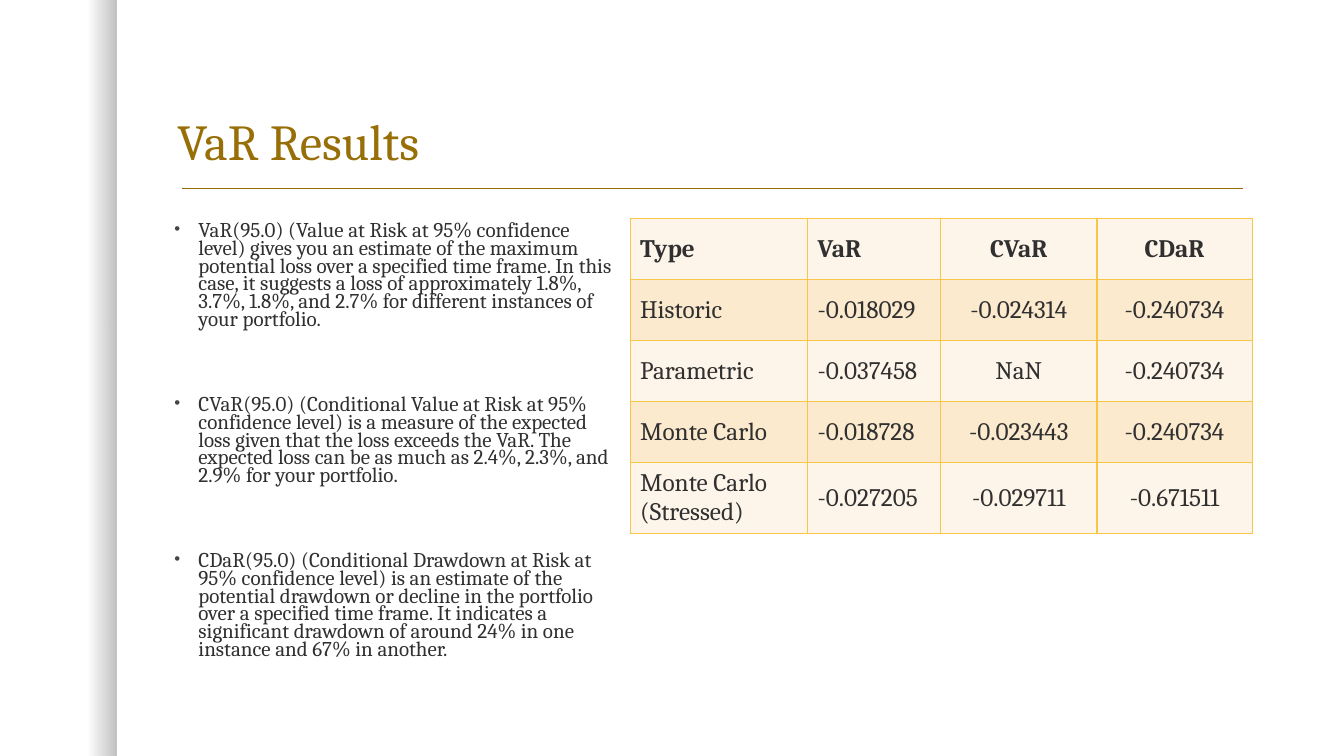
from lxml import etree
from pptx import Presentation
from pptx.dml.color import RGBColor
from pptx.enum.shapes import MSO_CONNECTOR, MSO_SHAPE
from pptx.enum.text import MSO_ANCHOR, PP_ALIGN
from pptx.oxml.ns import qn
from pptx.util import Inches, Pt

LINE = MSO_CONNECTOR.STRAIGHT
RECT = MSO_SHAPE.RECTANGLE
BOTTOM, MIDDLE = MSO_ANCHOR.BOTTOM, MSO_ANCHOR.MIDDLE
LEFT, CENTER = PP_ALIGN.LEFT, PP_ALIGN.CENTER

FONT = "Cambria"
GOLD, INK, GREY, EDGE = "986F07", "303030", "454545", "F7C547"
BANDS = ["FDF5E9", "FCEACF"]

NOTES = [
    "VaR(95.0) (Value at Risk at 95% confidence level) gives you an estimate of "
    "the maximum potential loss over a specified time frame. In this case, it "
    "suggests a loss of approximately 1.8%, 3.7%, 1.8%, and 2.7% for different "
    "instances of your portfolio.",
    "CVaR(95.0) (Conditional Value at Risk at 95% confidence level) is a measure "
    "of the expected loss given that the loss exceeds the VaR. The expected loss "
    "can be as much as 2.4%, 2.3%, and 2.9% for your portfolio.",
    "CDaR(95.0) (Conditional Drawdown at Risk at 95% confidence level) is an "
    "estimate of the potential drawdown or decline in the portfolio over a "
    "specified time frame. It indicates a significant drawdown of around 24% in "
    "one instance and 67% in another.",
]

ROWS = [
    ["Type", "VaR", "CVaR", "CDaR"],
    ["Historic", "-0.018029", "-0.024314", "-0.240734"],
    ["Parametric", "-0.037458", "NaN", "-0.240734"],
    ["Monte Carlo", "-0.018728", "-0.023443", "-0.240734"],
    ["Monte Carlo\v(Stressed)", "-0.027205", "-0.029711", "-0.671511"],
]
WIDTHS = [1.76, 1.32, 1.55, 1.54]
HEIGHTS = [0.605] * 4 + [0.69]
ALIGNS = [LEFT, LEFT, CENTER, CENTER]


def rgb(code):
    return RGBColor.from_string(code)


def node(parent, tag, **attrs):
    return etree.SubElement(parent, qn(tag), attrs)


def style(para, size, color, bold=False):
    for run in para.runs:
        font = run.font
        font.name, font.size, font.bold = FONT, Pt(size), bold
        font.color.rgb = rgb(color)


def add_shade(slide):
    """Left strip that fades from clear to a soft black edge."""
    strip = slide.shapes.add_shape(RECT, 0, 0, Inches(1.16), Inches(7.5))
    strip.shadow.inherit = False
    strip.line.fill.background()
    strip.fill.gradient()
    strip.fill.gradient_angle = 0
    stops = strip.fill.gradient_stops
    for stop, place, alpha in zip(stops, [0.75, 1], [0, 25000]):
        stop.position = place
        stop.color.rgb = rgb("000000")
    for tint, alpha in zip(strip.fill._xPr.iter(qn("a:srgbClr")), [0, 25000]):
        node(tint, "a:alpha", val=str(alpha))


def add_rule(slide):
    rule = slide.shapes.add_connector(
        LINE, Inches(1.81), Inches(1.87), Inches(12.33), Inches(1.87))
    rule.line.color.rgb = rgb(GOLD)
    rule.line.width = Pt(1)
    node(rule._element.spPr, "a:effectLst")


def add_box(slide, left, top, width, height):
    box = slide.shapes.add_textbox(
        Inches(left), Inches(top), Inches(width), Inches(height))
    box.text_frame.word_wrap = True
    return box.text_frame


def add_title(slide, text):
    frame = add_box(slide, 1.66, 0.42, 10.75, 1.33)
    frame.vertical_anchor = BOTTOM
    frame.text = text
    para = frame.paragraphs[0]
    para.line_spacing = 0.9
    style(para, 36, GOLD)


def add_bullet(para):
    props = para._p.get_or_add_pPr()
    props.set("marL", str(Inches(0.24)))
    props.set("indent", str(-Inches(0.24)))
    node(node(props, "a:buClr"), "a:srgbClr", val=GREY)
    node(props, "a:buSzPct", val="80000")
    node(props, "a:buFont", typeface="Arial")
    node(props, "a:buChar", char="•")


def add_notes(slide, notes):
    frame = add_box(slide, 1.63, 2.17, 4.62, 4.58)
    frame.text = "\n".join(notes)
    for i, para in enumerate(frame.paragraphs):
        add_bullet(para)
        para.line_spacing = 0.7
        if i:
            para.space_before = Pt(48.5)
        style(para, 15, INK)


def add_edges(cell):
    props = cell._tc.get_or_add_tcPr()
    for side in ["a:lnL", "a:lnR", "a:lnT", "a:lnB"]:
        edge = node(props, side, w=str(Pt(1)))
        node(node(edge, "a:solidFill"), "a:srgbClr", val=EDGE)


def add_grid(slide, rows):
    table = slide.shapes.add_table(
        len(rows), len(WIDTHS), Inches(6.25), Inches(2.17),
        Inches(sum(WIDTHS)), Inches(sum(HEIGHTS))).table
    table.first_row = table.horz_banding = False
    for col, width in zip(table.columns, WIDTHS):
        col.width = Inches(width)
    for r, (row, height) in enumerate(zip(rows, HEIGHTS)):
        table.rows[r].height = Inches(height)
        for c, text in enumerate(row):
            cell = table.cell(r, c)
            add_edges(cell)
            cell.fill.solid()
            cell.fill.fore_color.rgb = rgb(BANDS[r % 2])
            cell.vertical_anchor = MIDDLE
            cell.text = text
            para = cell.text_frame.paragraphs[0]
            para.alignment = ALIGNS[c]
            style(para, 18, INK, bold=r == 0)


def main():
    deck = Presentation()
    deck.slide_width, deck.slide_height = Inches(13.33), Inches(7.5)
    slide = deck.slides.add_slide(deck.slide_layouts[6])
    add_shade(slide)
    add_rule(slide)
    add_title(slide, "VaR Results")
    add_notes(slide, NOTES)
    add_grid(slide, ROWS)
    deck.save("out.pptx")


if __name__ == "__main__":
    main()
